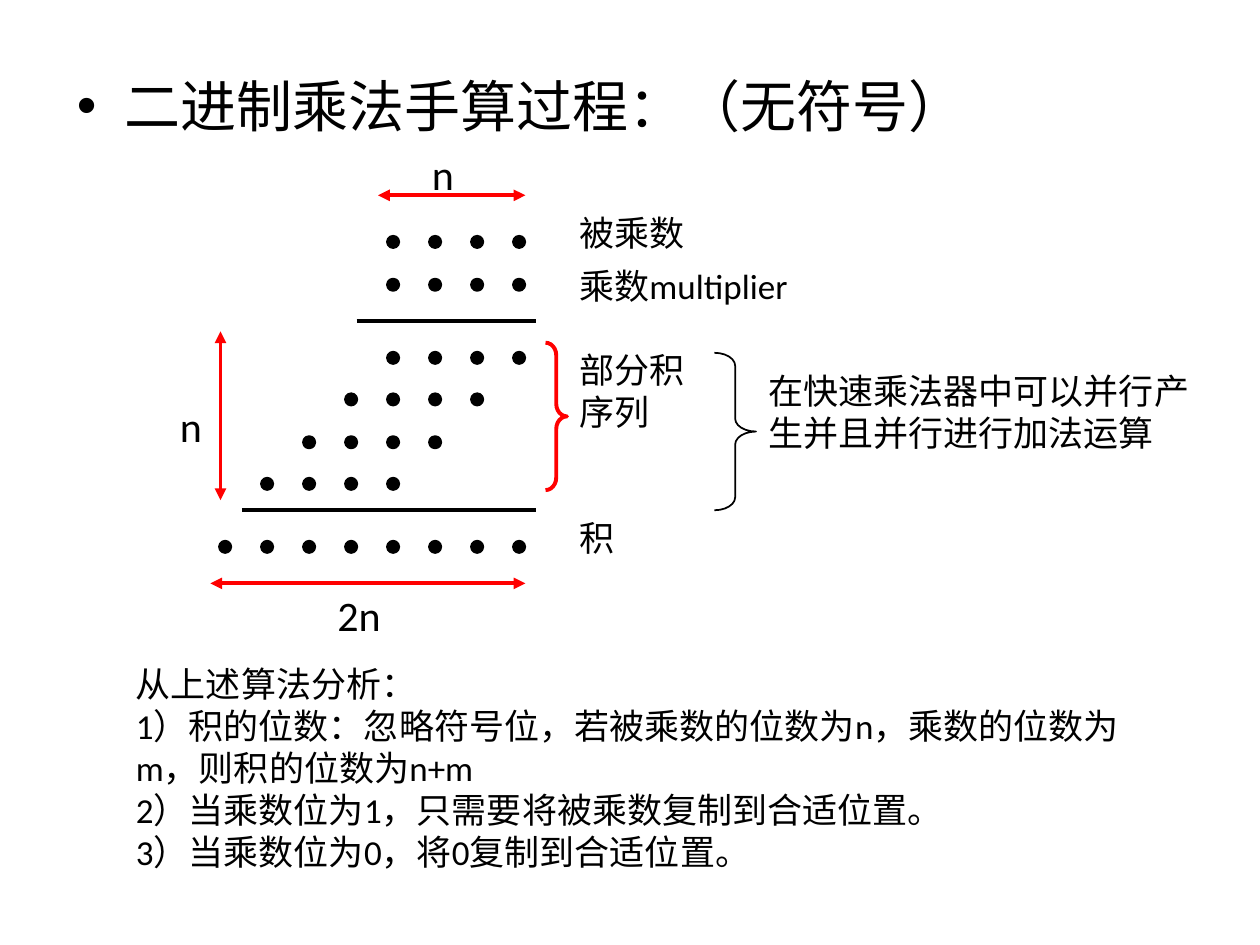
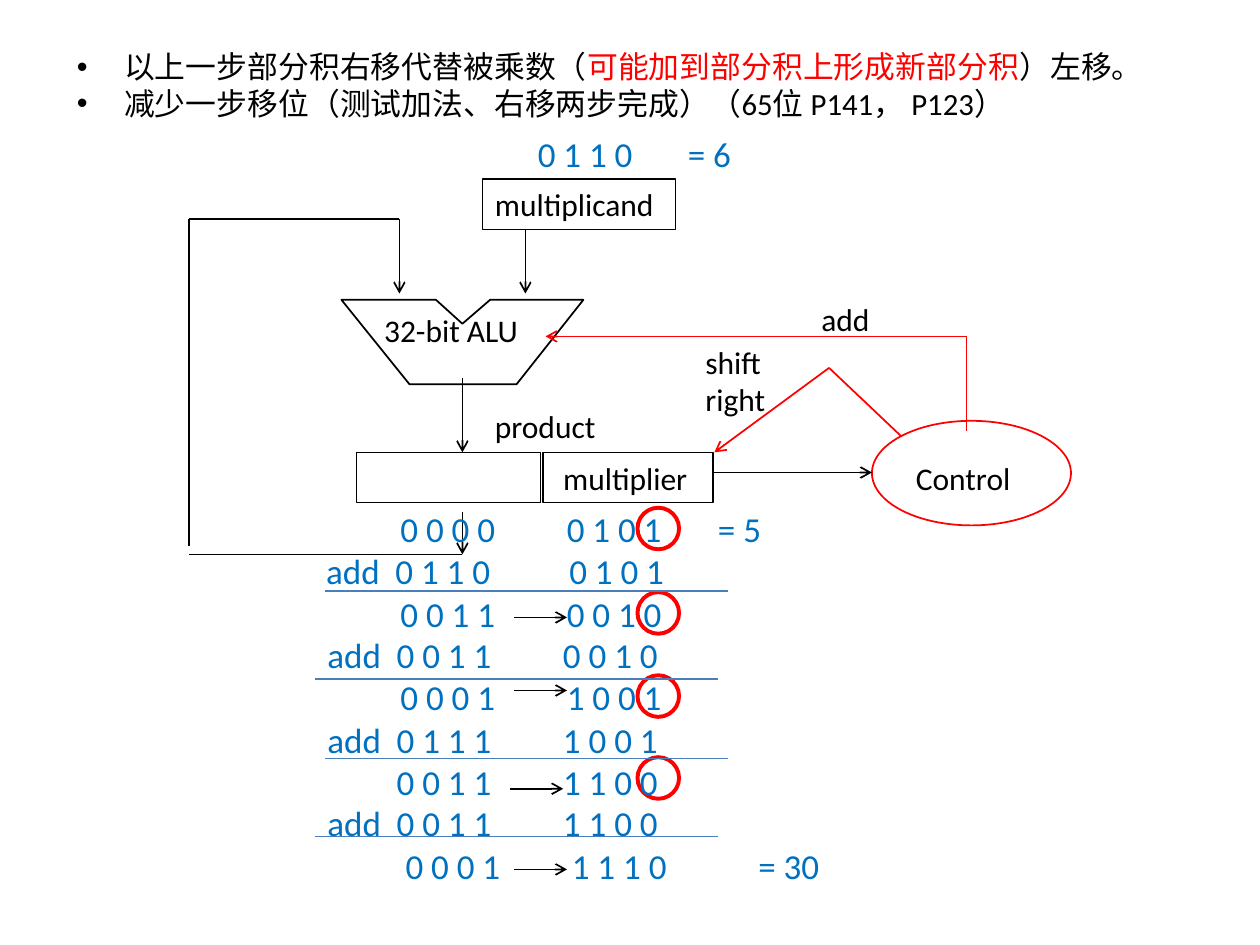
"""Build two slides on binary multiplication by hand and in hardware."""
from lxml import etree
from pptx import Presentation
from pptx.dml.color import RGBColor
from pptx.enum.shapes import MSO_CONNECTOR, MSO_SHAPE
from pptx.enum.text import MSO_ANCHOR, MSO_AUTO_SIZE, PP_ALIGN
from pptx.oxml.ns import qn
from pptx.util import Inches, Pt

STRAIGHT = MSO_CONNECTOR.STRAIGHT
OVAL = MSO_SHAPE.OVAL
RECTANGLE = MSO_SHAPE.RECTANGLE
RIGHT_BRACE = MSO_SHAPE.RIGHT_BRACE
TOP, MIDDLE = MSO_ANCHOR.TOP, MSO_ANCHOR.MIDDLE
NO_AUTOFIT = MSO_AUTO_SIZE.NONE
LEFT = PP_ALIGN.LEFT
FONT = "Calibri"
BLACK, RED, BLUE, RULE_BLUE = "000000", "FF0000", "0070C0", "4B7EBC"
color = RGBColor.from_string


def add_text(slide, box, text, size, text_color=BLACK, tab_stops=()):
    """Add a text box with one paragraph per line of text."""
    frame = slide.shapes.add_textbox(*map(Inches, box)).text_frame
    frame.word_wrap = True
    frame.text = text
    for paragraph in frame.paragraphs:
        if tab_stops:
            tab_list = etree.SubElement(paragraph._p.get_or_add_pPr(), qn("a:tabLst"))
            for stop in tab_stops:
                etree.SubElement(tab_list, qn("a:tab"), pos=str(Inches(stop)), algn="l")
        paragraph.font.name = FONT
        paragraph.font.size = Pt(size)
        paragraph.font.color.rgb = color(text_color)


def add_line(slide, start, end, line_color=BLACK, width=1.0, head=None, tail=None):
    """Add a straight line with optional arrowheads."""
    line = slide.shapes.add_connector(STRAIGHT, *map(Inches, start + end))
    line.line.color.rgb = color(line_color)
    line.line.width = Pt(width)
    outline = line.line._get_or_add_ln()
    for tag, kind in (("a:headEnd", head), ("a:tailEnd", tail)):
        if kind:
            etree.SubElement(outline, qn(tag), type=kind)
    etree.SubElement(line._element.spPr, qn("a:effectLst"))


presentation = Presentation()
presentation.slide_width = Inches(10)
presentation.slide_height = Inches(7.5)

bodies = [
    ((0.51, 0.52, 9, 0.63), 32, 1.0, [[("二进制乘法手算过程：（无符号）", BLACK)]]),
    ((0.51, 0.36, 9, 0.85), 17.6, 0.9, [
        [("以上一步部分积右移代替被乘数（", BLACK),
         ("可能加到部分积上形成新部分积", RED),
         ("）左移。", BLACK)],
        [("减少一步移位（测试加法、右移两步完成）（65位 P141， P123）", BLACK)],
    ]),
]
slides = []
for box, size, line_spacing, paragraphs in bodies:
    slide = presentation.slides.add_slide(presentation.slide_layouts[1])
    slides.append(slide)
    title = slide.shapes.title._element
    title.getparent().remove(title)
    body = slide.placeholders[1]
    body.left, body.top, body.width, body.height = map(Inches, box)
    frame = body.text_frame
    frame.auto_size = NO_AUTOFIT
    frame.vertical_anchor = TOP
    for index, runs in enumerate(paragraphs):
        paragraph = frame.add_paragraph() if index else frame.paragraphs[0]
        paragraph.space_before = Pt(2 if index else 0)
        paragraph.line_spacing = line_spacing
        paragraph.font.name = FONT
        paragraph.font.size = Pt(size)
        for text, run_color in runs:
            run = paragraph.add_run()
            run.text = text
            run.font.color.rgb = color(run_color)
manual_slide, hardware_slide = slides

dot_rows = [(1.88, 4, 0), (2.22, 4, 0), (2.8, 4, 0), (3.13, 4, 1),
            (3.47, 4, 2), (3.8, 4, 3), (4.3, 8, 0)]
for top, count, shift in dot_rows:
    for column in range(shift, shift + count):
        dot = manual_slide.shapes.add_shape(
            OVAL, Inches(4.08 - column / 3), Inches(top), Inches(0.08), Inches(0.08))
        dot.shadow.inherit = False
        dot.fill.solid()
        dot.fill.fore_color.rgb = color(BLACK)
        dot.line.color.rgb = color(BLACK)
        dot.line.width = Pt(2.25)

for left, top in ((2.83, 2.55), (1.92, 4.05)):
    add_line(manual_slide, (left, top), (4.25, top), width=2.25)
for start, end in (((3, 1.55), (4.17, 1.55)),
                   ((1.67, 4.63), (4.17, 4.63)),
                   ((1.75, 3.97), (1.75, 2.63))):
    add_line(manual_slide, start, end, RED, 2.25, "triangle", "triangle")

for box, brace_color, width, curve in (
        ((4.33, 2.72, 0.17, 1.17), RED, 2.25, 0.583),
        ((5.67, 2.8, 0.33, 1.25), BLACK, 1, 0.312)):
    brace = manual_slide.shapes.add_shape(RIGHT_BRACE, *map(Inches, box))
    brace.shadow.inherit = False
    brace.adjustments[0] = curve
    brace.fill.background()
    brace.line.color.rgb = color(brace_color)
    brace.line.width = Pt(width)

for box, text, size in (
        ((4.5, 1.63, 3.17, 0.44), "被乘数", 20),
        ((4.5, 2.05, 2.83, 0.44), "乘数multiplier", 20),
        ((4.5, 2.72, 1.75, 0.77), "部分积\n序列", 20),
        ((4.5, 4.05, 4, 0.44), "积", 20),
        ((6, 2.88, 3.58, 0.77), "在快速乘法器中可以并行产生并且并行进行加法运算", 20),
        ((3.33, 1.13, 0.58, 0.5), "n", 24),
        ((2.58, 4.63, 0.58, 0.5), "2n", 24),
        ((1.33, 3.13, 0.58, 0.5), "n", 24),
        ((0.98, 5.21, 8.35, 1.78),
         "从上述算法分析：\n"
         "1）积的位数：忽略符号位，若被乘数的位数为n，乘数的位数为m，则积的位数为n+m\n"
         "2）当乘数位为1，只需要将被乘数复制到合适位置。\n"
         "3）当乘数位为0，将0复制到合适位置。", 20)):
    add_text(manual_slide, box, text, size)

alu_points = [(2.71, 2.38), (3.46, 2.38), (3.67, 2.57), (3.89, 2.38),
              (4.63, 2.38), (4.1, 3.05), (3.25, 3.05)]
builder = hardware_slide.shapes.build_freeform(
    *map(Inches, alu_points[0]), scale=1.0)
builder.add_line_segments([tuple(map(Inches, point)) for point in alu_points[1:]])
alu = builder.convert_to_shape()
alu.shadow.inherit = False
alu.fill.background()
alu.line.color.rgb = color(BLACK)
alu.line.width = Pt(1)

tested_bits = [(OVAL, (5.06, top, 0.33, 0.33), RED, 2.25, "", 0.1)
               for top in (4.03, 4.7, 5.36, 6.01)]
for kind, box, line_color, width, text, inset in [
        (RECTANGLE, (3.83, 1.42, 1.53, 0.4), BLACK, 0.75, "multiplicand", 0.1),
        (RECTANGLE, (2.83, 3.59, 1.46, 0.4), BLACK, 0.75, "", 0.1),
        (RECTANGLE, (4.31, 3.59, 1.35, 0.4), BLACK, 0.75, "multiplier", 0.16),
        (OVAL, (6.92, 3.34, 1.58, 0.83), RED, 1, "", 0.1)] + tested_bits:
    shape = hardware_slide.shapes.add_shape(kind, *map(Inches, box))
    shape.shadow.inherit = False
    shape.fill.background()
    shape.line.color.rgb = color(line_color)
    shape.line.width = Pt(width)
    if text:
        frame = shape.text_frame
        frame.margin_left = Inches(inset)
        frame.margin_right = Inches(0)
        frame.vertical_anchor = MIDDLE
        frame.text = text
        paragraph = frame.paragraphs[0]
        paragraph.alignment = LEFT
        paragraph.font.name = FONT
        paragraph.font.size = Pt(18)
        paragraph.font.color.rgb = color(BLACK)

for start, end, line_color, tail in (
        ((3.67, 3), (3.67, 3.59), BLACK, "arrow"),
        ((4.17, 1.82), (4.17, 2.33), BLACK, "arrow"),
        ((3.67, 4.06), (3.67, 4.4), BLACK, "arrow"),
        ((3.67, 4.4), (1.5, 4.4), BLACK, None),
        ((1.5, 4.33), (1.5, 1.74), BLACK, None),
        ((1.5, 1.74), (3.17, 1.74), BLACK, None),
        ((3.17, 1.74), (3.17, 2.33), BLACK, "arrow"),
        ((5.67, 3.75), (6.92, 3.75), BLACK, "arrow"),
        ((7.67, 3.42), (7.67, 2.67), RED, None),
        ((7.67, 2.67), (4.33, 2.67), RED, "arrow"),
        ((7.15, 3.46), (6.58, 2.92), RED, None),
        ((6.58, 2.92), (5.67, 3.59), RED, "arrow")):
    add_line(hardware_slide, start, end, line_color, tail=tail)

for box, text in (
        ((2.95, 2.42, 1.38, 0.4), "32-bit ALU"),
        ((7.17, 3.59, 1.02, 0.4), "Control"),
        ((6.42, 2.33, 0.62, 0.4), "add"),
        ((5.5, 2.67, 0.71, 0.71), "shift\nright"),
        ((3.83, 3.18, 1.04, 0.4), "product")):
    add_text(hardware_slide, box, text, 18)

step_stops, add_stops = (1.32, 2.52), (0.55, 1.87)
for left, top, width, text, tab_stops in (
        (4.17, 1, 1.75, "0 1 1 0\t= 6", (1.19,)),
        (3.08, 3.98, 3.07, "0 0 0 0\t0 1 0 1\t= 5", step_stops),
        (2.49, 4.31, 2.9, "add\t0 1 1 0\t0 1 0 1", (0.55, 1.93)),
        (3.08, 4.65, 2.35, "0 0 1 1\t0 0 1 0", step_stops),
        (2.5, 4.98, 2.9, "add\t0 0 1 1\t0 0 1 0", add_stops),
        (3.08, 5.31, 2.35, "0 0 0 1\t1 0 0 1", step_stops),
        (2.5, 5.65, 2.9, "add\t0 1 1 1\t1 0 0 1", add_stops),
        (3.05, 5.99, 2.35, "0 0 1 1\t1 1 0 0", step_stops),
        (2.5, 6.31, 2.9, "add\t0 0 1 1\t1 1 0 0", add_stops),
        (3.12, 6.65, 2.35, "0 0 0 1\t1 1 1 0", step_stops),
        (5.92, 6.65, 0.75, "= 30", ())):
    add_text(hardware_slide, (left, top, width, 0.44), text, 20, BLUE, tab_stops)

for left, top in ((4.08, 4.9), (4.08, 5.48), (4.05, 6.26), (4.08, 6.9)):
    add_line(hardware_slide, (left, top), (left + 0.42, top), tail="arrow")
for left, top in ((2.58, 4.69), (2.5, 5.39), (2.58, 6.02), (2.5, 6.64)):
    add_line(hardware_slide, (left, top), (left + 3.2, top), RULE_BLUE, 0.75)

presentation.save("out.pptx")
